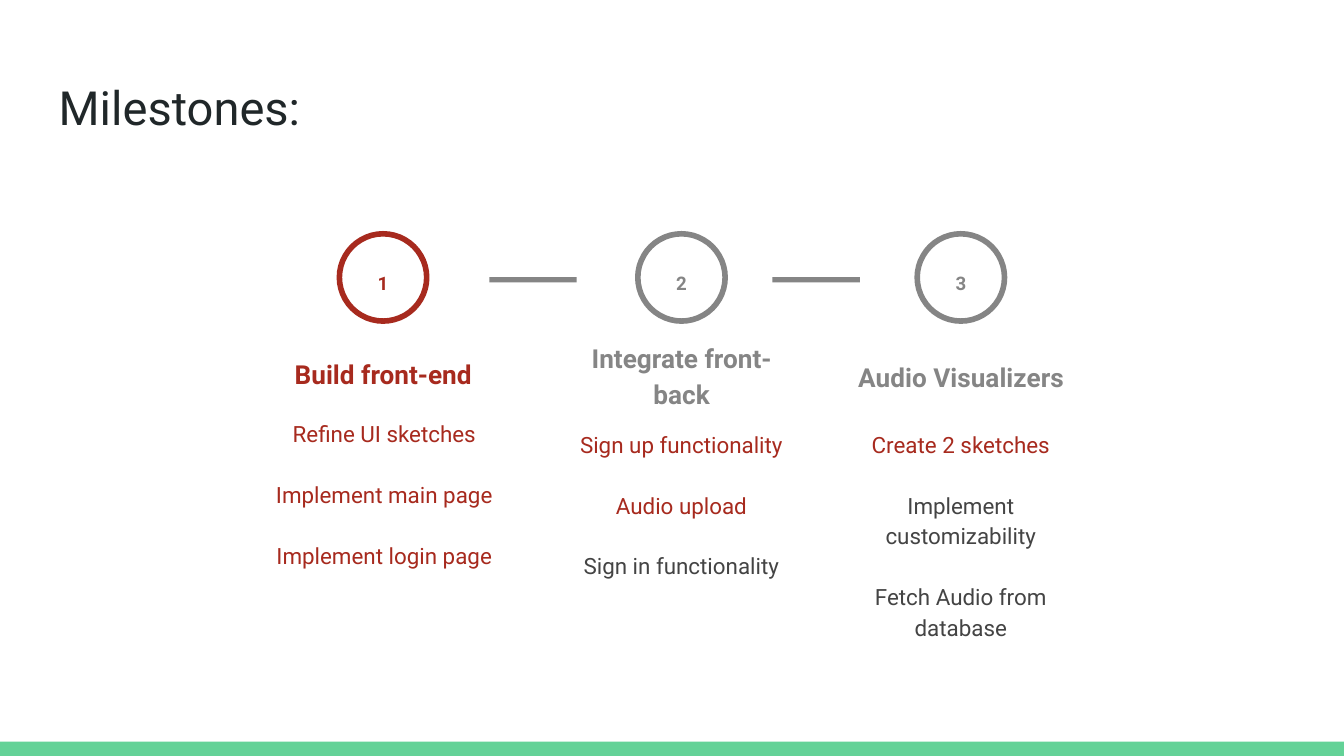
import pptx
import pptx.dml.color
import pptx.enum.shapes
import pptx.enum.text
import pptx.util

Cm = pptx.util.Cm
Pt = pptx.util.Pt
SHAPE = pptx.enum.shapes.MSO_SHAPE
ANCHOR = pptx.enum.text.MSO_ANCHOR
ALIGN = pptx.enum.text.PP_ALIGN

COLORS = {
    "background": "FFFFFF",
    "footer": "63D297",
    "title": "202729",
    "done": "A72A1E",
    "pending": "858585",
    "body": "444444",
}
FONT = "Roboto"
SLIDE_WIDTH, SLIDE_HEIGHT = 25.4, 14.29
COLUMN_TOP, COLUMN_WIDTH = 4.42, 5.28
CIRCLE_SIZE = 1.65

# Column left, heading top, list top, list left inset, accent, heading, tasks
MILESTONES = [
    (4.6, 6.38, 7.62, 0.3, "done", "Build front-end",
     [("Refine UI sketches", "done"), ("Implement main page", "done"),
      ("Implement login page", "done")]),
    (10.24, 6.76, 7.82, 0.25, "pending", "Integrate front-back",
     [("Sign up functionality", "done"), ("Audio upload", "done"),
      ("Sign in functionality", "body")]),
    (15.52, 6.43, 7.82, 0.25, "pending", "Audio Visualizers",
     [("Create 2 sketches", "done"), ("Implement customizability", "body"),
      ("Fetch Audio from database", "body")]),
]
DASH_LEFTS = [9.25, 14.6]


def rgb(name):
    return pptx.dml.color.RGBColor.from_string(COLORS[name])


def add_text(shapes, box, lines, size, bold=False, align=ALIGN.CENTER,
             anchor=ANCHOR.TOP, left_inset=0.25, line_spacing=1.15):
    """Add a text box with one paragraph for each (text, colour name) pair."""
    shape = shapes.add_textbox(*map(Cm, box))
    frame = shape.text_frame
    frame.word_wrap = True
    frame.vertical_anchor = anchor
    frame.margin_left = Cm(left_inset)
    frame.margin_right = frame.margin_top = frame.margin_bottom = Cm(0.25)
    frame.text = "\n".join(text for text, _ in lines)
    for index, (paragraph, (_, color)) in enumerate(zip(frame.paragraphs, lines)):
        paragraph.alignment = align
        paragraph.line_spacing = line_spacing
        if index:
            paragraph.space_before = Pt(16)
        font = paragraph.runs[0].font
        font.name = FONT
        font.size = Pt(size)
        font.bold = bold
        font.color.rgb = rgb(color)


def add_bar(shapes, kind, box, color):
    bar = shapes.add_shape(kind, *map(Cm, box))
    bar.shadow.inherit = False
    bar.fill.solid()
    bar.fill.fore_color.rgb = rgb(color)
    bar.line.fill.background()
    return bar


def add_title(slide, box):
    add_text(slide.shapes, box, [("Milestones:", "title")], 25.2,
             align=ALIGN.LEFT, line_spacing=1.0)


def add_milestone(slide, left, top, number, milestone):
    """Add a grouped column: numbered circle, heading and task list."""
    _, heading_top, list_top, inset, accent, heading, tasks = milestone
    shapes = slide.shapes.add_group_shape().shapes
    center = left + COLUMN_WIDTH / 2

    circle = shapes.add_shape(SHAPE.OVAL, Cm(center - CIRCLE_SIZE / 2), Cm(top),
                              Cm(CIRCLE_SIZE), Cm(CIRCLE_SIZE))
    circle.shadow.inherit = False
    circle.fill.background()
    circle.line.color.rgb = rgb(accent)
    circle.line.width = Pt(3)

    add_text(shapes, (center - 2.37, heading_top, 4.75, 1.24),
             [(heading, accent)], 14, bold=True, anchor=ANCHOR.BOTTOM)
    add_text(shapes, (left, list_top, COLUMN_WIDTH, 2.06), tasks, 12,
             left_inset=inset)
    add_text(shapes, (center - 0.61, top + 0.41, 1.22, 0.89),
             [(str(number), accent)], 10, bold=True)


def add_dash(slide, box):
    dash = add_bar(slide.shapes, SHAPE.ROUNDED_RECTANGLE, box, "pending")
    dash.adjustments[0] = 0


def main():
    presentation = pptx.Presentation()
    presentation.slide_width = Cm(SLIDE_WIDTH)
    presentation.slide_height = Cm(SLIDE_HEIGHT)
    slide = presentation.slides.add_slide(presentation.slide_layouts[6])
    slide.background.fill.solid()
    slide.background.fill.fore_color.rgb = rgb("background")

    add_bar(slide.shapes, SHAPE.RECTANGLE,
            (0, SLIDE_HEIGHT - 0.27, SLIDE_WIDTH, 0.27), "footer")
    add_title(slide, (0.86, 1.24, 23.67, 1.6))
    for number, milestone in enumerate(MILESTONES, start=1):
        add_milestone(slide, milestone[0], COLUMN_TOP, number, milestone)
    for left in DASH_LEFTS:
        add_dash(slide, (left, 5.24, CIRCLE_SIZE, 0.1))

    presentation.save("out.pptx")


if __name__ == "__main__":
    main()
